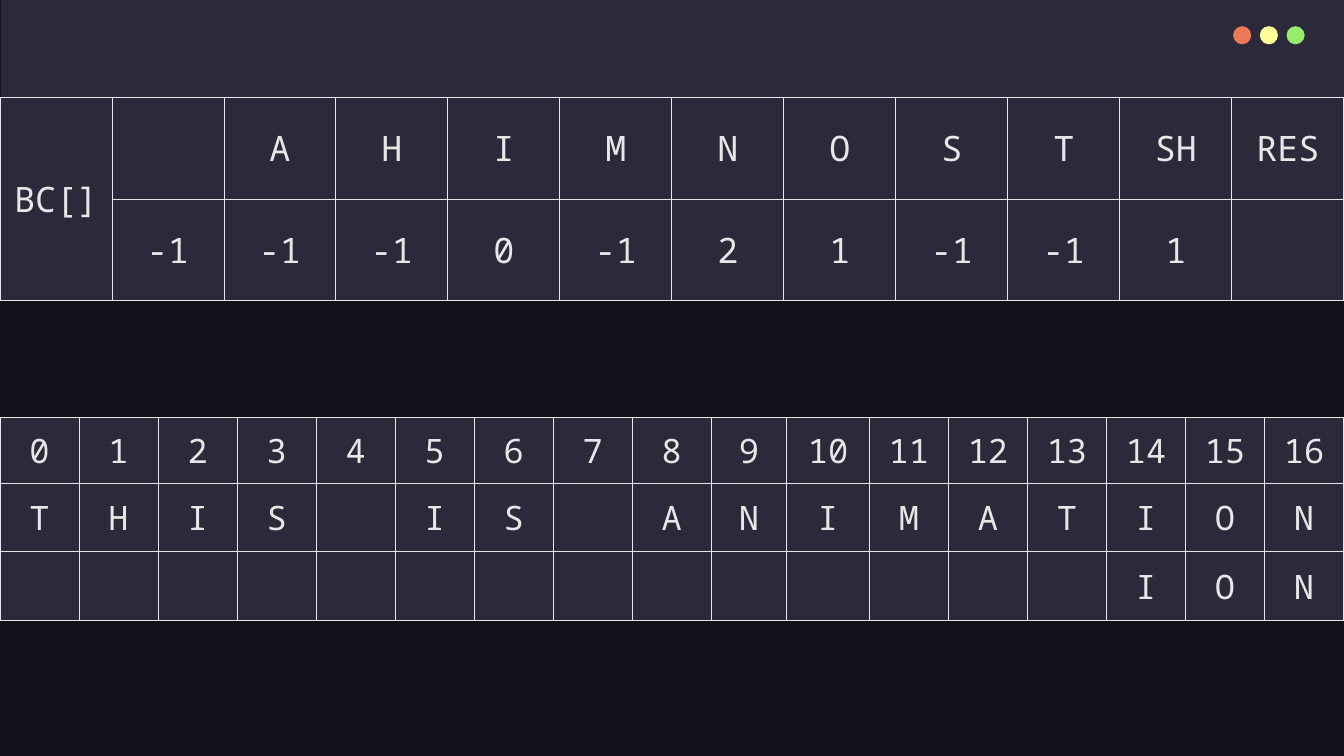
from lxml import etree
from pptx import Presentation
from pptx import util as u
from pptx.dml.color import RGBColor
from pptx.enum import shapes, text
from pptx.oxml import ns

COLORS = {
    "page": "10111A",
    "panel": "2C293A",
    "ink": "E7E7E7",
    "red": "EC7955",
    "yellow": "FFFF99",
    "green": "94EE6B",
}
FONT = "Noto Sans Mono"
WIDTH, HEIGHT = 13.33, 7.5


def paint(fill, color):
    fill.solid()
    fill.fore_color.rgb = RGBColor.from_string(COLORS[color])


def add_filled(s, kind, x, y, w, h, color):
    sp = s.shapes.add_shape(kind, *map(u.Inches, (x, y, w, h)))
    sp.shadow.inherit = False
    paint(sp.fill, color)
    sp.line.fill.background()
    return sp


def add_text(tf, words, size=24, color="ink", align=text.PP_ALIGN.CENTER):
    p = tf.paragraphs[0]
    p.alignment = align
    r = p.add_run()
    r.text = words
    r.font.name = FONT
    r.font.size = u.Pt(size)
    r.font.color.rgb = RGBColor.from_string(COLORS[color])


def add_borders(cell, color="ink", width=0.75):
    props = cell._tc.get_or_add_tcPr()
    for side in ("lnL", "lnR", "lnT", "lnB"):
        ln = etree.SubElement(props, ns.qn(f"a:{side}"), w=str(u.Pt(width)))
        fill = etree.SubElement(ln, ns.qn("a:solidFill"))
        etree.SubElement(fill, ns.qn("a:srgbClr"), val=COLORS[color])


def format_cell(cell, words, size):
    add_borders(cell)
    paint(cell.fill, "panel")
    cell.vertical_anchor = text.MSO_ANCHOR.MIDDLE
    cell.margin_left = cell.margin_right = u.Inches(0.13)
    cell.margin_top = cell.margin_bottom = u.Inches(0.1)
    if words:
        add_text(cell.text_frame, words, size=size)


def add_grid(s, x, y, widths, heights, rows, size):
    frame = s.shapes.add_table(
        len(heights), len(widths),
        *map(u.Inches, (x, y, sum(widths), sum(heights))))
    table = frame.table
    table.first_row = table.horz_banding = False
    for col, width in zip(table.columns, widths):
        col.width = u.Inches(width)
    for row, height, values in zip(table.rows, heights, rows):
        row.height = u.Inches(height)
        for cell, words in zip(row.cells, values):
            format_cell(cell, words, size)
    return table


def window_bar(s, x, y, w, h):
    add_filled(s, shapes.MSO_SHAPE.RECTANGLE, x, y, w, h, "panel")
    for i, color in enumerate(("red", "yellow", "green")):
        add_filled(s, shapes.MSO_SHAPE.OVAL, x + w - 1.11 + i * 0.265,
                   y + 0.26, 0.18, 0.18, color)


def bad_character_table(s, x, y, w, h):
    rows = [
        ["BC[]", "", *"AHIMNOST", "SH", "RES"],
        ["", "-1", "-1", "-1", "0", "-1", "2", "1", "-1", "-1", "1", ""],
    ]
    count = len(rows[0])
    table = add_grid(s, x, y, [w / count] * count, [h / 2] * 2, rows, 25)
    table.cell(0, 0).merge(table.cell(1, 0))


def search_table(s, x, y, w, h):
    phrase, pattern = "THIS IS ANIMATION", "ION"
    count = len(phrase)
    rows = [
        [str(i) for i in range(count)],
        [letter.strip() for letter in phrase],
        [""] * (count - len(pattern)) + list(pattern),
    ]
    widths = [w / count] * count
    widths[9] -= 0.035
    widths[10] += 0.035
    heights = [0.65, (h - 0.65) / 2, (h - 0.65) / 2]
    add_grid(s, x, y, widths, heights, rows, 24)


def main():
    prs = Presentation()
    prs.slide_width, prs.slide_height = u.Inches(WIDTH), u.Inches(HEIGHT)
    s = prs.slides.add_slide(prs.slide_layouts[6])
    paint(s.background.fill, "page")
    window_bar(s, 0.01, 0, WIDTH, 1.69)
    search_table(s, 0, 4.14, WIDTH, 2.01)
    bad_character_table(s, 0, 0.97, WIDTH, 2.01)
    prs.save("out.pptx")


if __name__ == "__main__":
    main()
